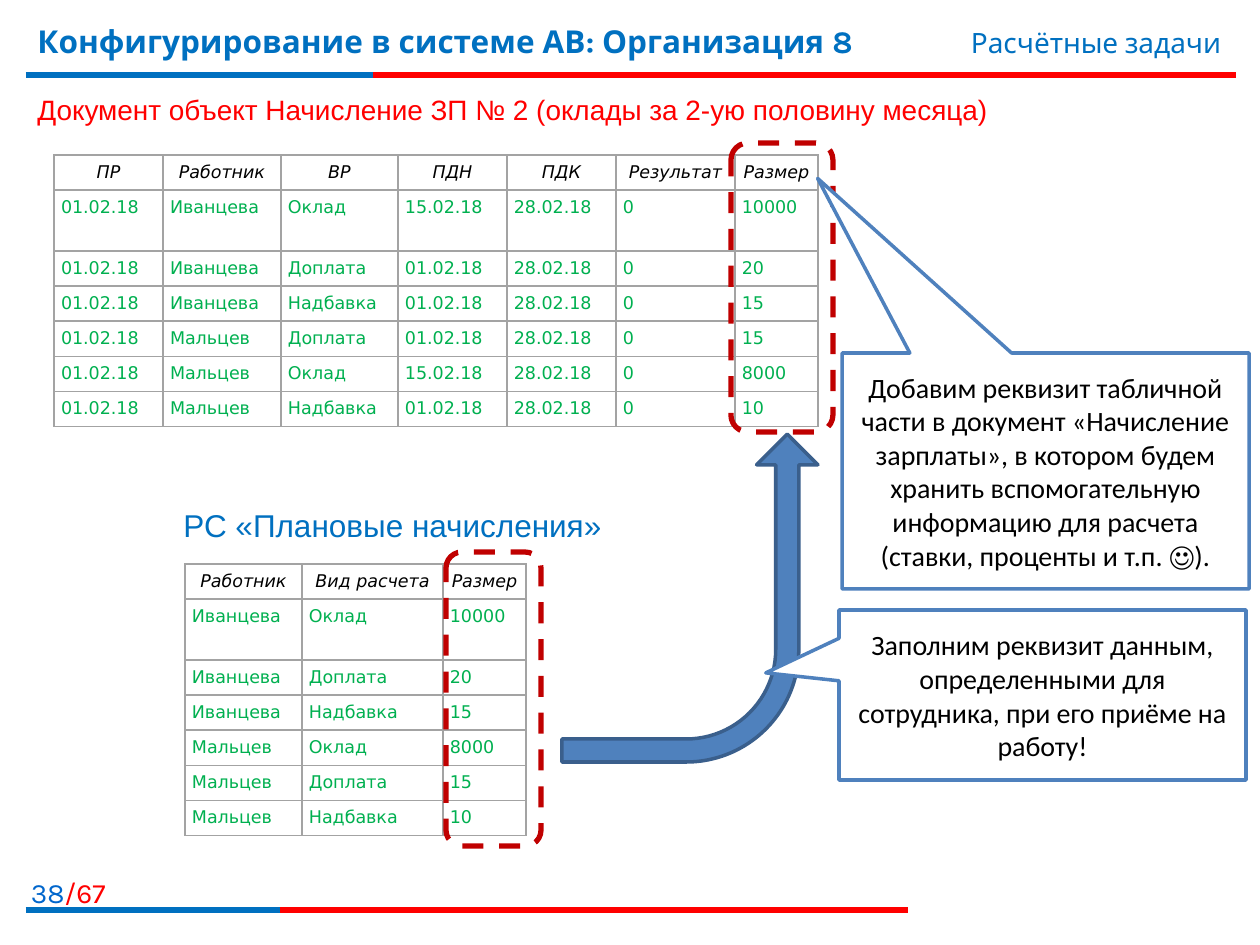
from lxml.etree import SubElement
from pptx import Presentation
from pptx.dml.color import RGBColor
from pptx.enum.dml import MSO_LINE
from pptx.enum.shapes import MSO_CONNECTOR, MSO_SHAPE
from pptx.enum.text import MSO_ANCHOR, PP_ALIGN
from pptx.oxml.ns import qn
from pptx.util import Pt

SCALE = 914400 / 126
BLUE, RED, GREEN = "0070C0", "FF0000", "00B050"
DARK_RED, STEEL, STEEL_DARK = "C00000", "4F81BD", "3A5F8C"
BLACK, WHITE, GRAY, PAGE_BLUE = "000000", "FFFFFF", "A3A3A3", "0066CC"


def px(value):
    return round(value * SCALE)


def color(hex_string):
    return RGBColor.from_string(hex_string)


class SlideBuilder:
    formats = {
        "title": {"name": "Karla", "size": Pt(18), "bold": True},
        "header": {"name": "Karla", "size": Pt(16)},
        "subtitle": {"name": "Arial", "size": Pt(16)},
        "caption": {"name": "Arial", "size": Pt(18)},
        "callout": {"name": "Calibri", "size": Pt(16)},
        "heading": {"name": "DejaVu Sans", "size": Pt(10), "italic": True},
        "cell": {"name": "DejaVu Sans", "size": Pt(10), "italic": False},
    }

    def __init__(self, slide):
        self.slide = slide

    def add_runs(self, frame, runs, style, align=PP_ALIGN.LEFT):
        frame.word_wrap = True
        paragraph = frame.paragraphs[0]
        paragraph.alignment = align
        for text, hex_string in runs:
            run = paragraph.add_run()
            run.text = text
            for key, value in self.formats[style].items():
                setattr(run.font, key, value)
            run.font.color.rgb = color(hex_string)

    def text(self, box, runs, style, align=PP_ALIGN.LEFT):
        shape = self.slide.shapes.add_textbox(*map(px, box))
        self.add_runs(shape.text_frame, runs, style, align)

    def line(self, left, right, y, hex_string):
        connector = self.slide.shapes.add_connector(
            MSO_CONNECTOR.STRAIGHT, px(left), px(y), px(right), px(y))
        connector.line.color.rgb = color(hex_string)
        connector.line.width = Pt(3)
        SubElement(connector._element.spPr, qn("a:effectLst"))

    def rule(self, left, middle, right, y):
        self.line(left, right, y, RED)
        self.line(left, middle, y, BLUE)

    def shape(self, kind, box, outline, width, fill=None, adjustments=()):
        shape = self.slide.shapes.add_shape(kind, *map(px, box))
        shape.shadow.inherit = False
        if fill:
            shape.fill.solid()
            shape.fill.fore_color.rgb = color(fill)
        else:
            shape.fill.background()
        shape.line.color.rgb = color(outline)
        shape.line.width = Pt(width)
        for index, value in enumerate(adjustments):
            shape.adjustments[index] = value
        return shape

    def highlight(self, box):
        shape = self.shape(MSO_SHAPE.ROUNDED_RECTANGLE, box, DARK_RED, 3)
        shape.line.dash_style = MSO_LINE.DASH

    def callout(self, box, adjustments, text):
        shape = self.shape(MSO_SHAPE.RECTANGULAR_CALLOUT, box, STEEL, 2, WHITE, adjustments)
        shape.text_frame.vertical_anchor = MSO_ANCHOR.MIDDLE
        self.add_runs(shape.text_frame, [(text, BLACK)], "callout", PP_ALIGN.CENTER)

    def bent_arrow(self, box, adjustments):
        shape = self.shape(MSO_SHAPE.BENT_ARROW, box, STEEL_DARK, 2, STEEL, adjustments)
        shape.rotation = 90
        shape._element.spPr.find(qn("a:xfrm")).set("flipH", "1")

    def border(self, cell):
        properties = cell._tc.get_or_add_tcPr()
        for side in ("lnL", "lnR", "lnT", "lnB"):
            edge = SubElement(properties, qn(f"a:{side}"), w=str(Pt(1)))
            SubElement(SubElement(edge, qn("a:solidFill")), qn("a:srgbClr"), val=GRAY)

    def table(self, left, top, widths, heights, rows):
        table = self.slide.shapes.add_table(
            len(rows), len(widths), px(left), px(top), px(sum(widths)), px(sum(heights))).table
        table.first_row = table.horz_banding = False
        for column, width in zip(table.columns, widths):
            column.width = px(width)
        for row, height in zip(table.rows, heights):
            row.height = px(height)
        margins = ("margin_left", "margin_right", "margin_top", "margin_bottom")
        for row_index, values in enumerate(rows):
            for column_index, value in enumerate(values):
                cell = table.cell(row_index, column_index)
                for margin in margins:
                    setattr(cell, margin, px(7))
                self.border(cell)
                cell.fill.solid()
                cell.fill.fore_color.rgb = color(WHITE)
                if row_index:
                    self.add_runs(cell.text_frame, [(value, GREEN)], "cell")
                else:
                    self.add_runs(cell.text_frame, [(value, BLACK)], "heading", PP_ALIGN.CENTER)


def main():
    presentation = Presentation()
    presentation.slide_width, presentation.slide_height = px(1260), px(945)
    builder = SlideBuilder(presentation.slides.add_slide(presentation.slide_layouts[6]))

    builder.rule(26, 373, 1236, 75)
    builder.text((0, 869, 118, 40), [("38", PAGE_BLUE), ("/67", RED)], "header", PP_ALIGN.RIGHT)
    builder.rule(26, 280, 908, 910)
    builder.text((25, 16, 932, 78), [("Конфигурирование в системе АВ: Организация 8", BLUE)], "title")
    builder.text((748, 19, 486, 47), [("Расчётные задачи", BLUE)], "header", PP_ALIGN.RIGHT)

    row_heights = [35, 61] + [35] * 5
    planned = [
        ("Иванцева", "Оклад", "10000"),
        ("Иванцева", "Доплата", "20"),
        ("Иванцева", "Надбавка", "15"),
        ("Мальцев", "Оклад", "8000"),
        ("Мальцев", "Доплата", "15"),
        ("Мальцев", "Надбавка", "10"),
    ]
    builder.table(185, 564, [117, 141, 83], row_heights,
                  [("Работник", "Вид расчета", "Размер")] + planned)

    accrual_order = planned[:3] + [planned[4], planned[3], planned[5]]
    accruals = [
        ("01.02.18", worker, kind, "15.02.18" if kind == "Оклад" else "01.02.18",
         "28.02.18", "0", amount)
        for worker, kind, amount in accrual_order
    ]
    builder.table(54, 155, [109, 118, 117, 109, 109, 119, 83], row_heights,
                  [("ПР", "Работник", "ВР", "ПДН", "ПДК", "Результат", "Размер")] + accruals)

    builder.text((25, 86, 1211, 47),
                 [("Документ объект Начисление ЗП № 2 (оклады за 2-ую половину месяца)", RED)],
                 "subtitle")
    builder.text((25, 500, 735, 50), [("РС «Плановые начисления»", BLUE)],
                 "caption", PP_ALIGN.CENTER)

    builder.highlight((731, 143, 102, 289))
    builder.highlight((446, 552, 95, 294))
    builder.bent_arrow((526, 470, 328, 256), (0.09, 0.12, 0.12, 0.44))
    builder.callout((842, 353, 407, 236), (-0.56, -1.24),
                    "Добавим реквизит табличной части в документ «Начисление зарплаты», "
                    "в котором будем хранить вспомогательную информацию для расчета "
                    "(ставки, проценты и т.п. ☺).")
    builder.callout((839, 610, 407, 170), (-0.68, -0.13),
                    "Заполним реквизит данным, определенными для сотрудника, "
                    "при его приёме на работу!")

    presentation.save("out.pptx")


if __name__ == "__main__":
    main()
